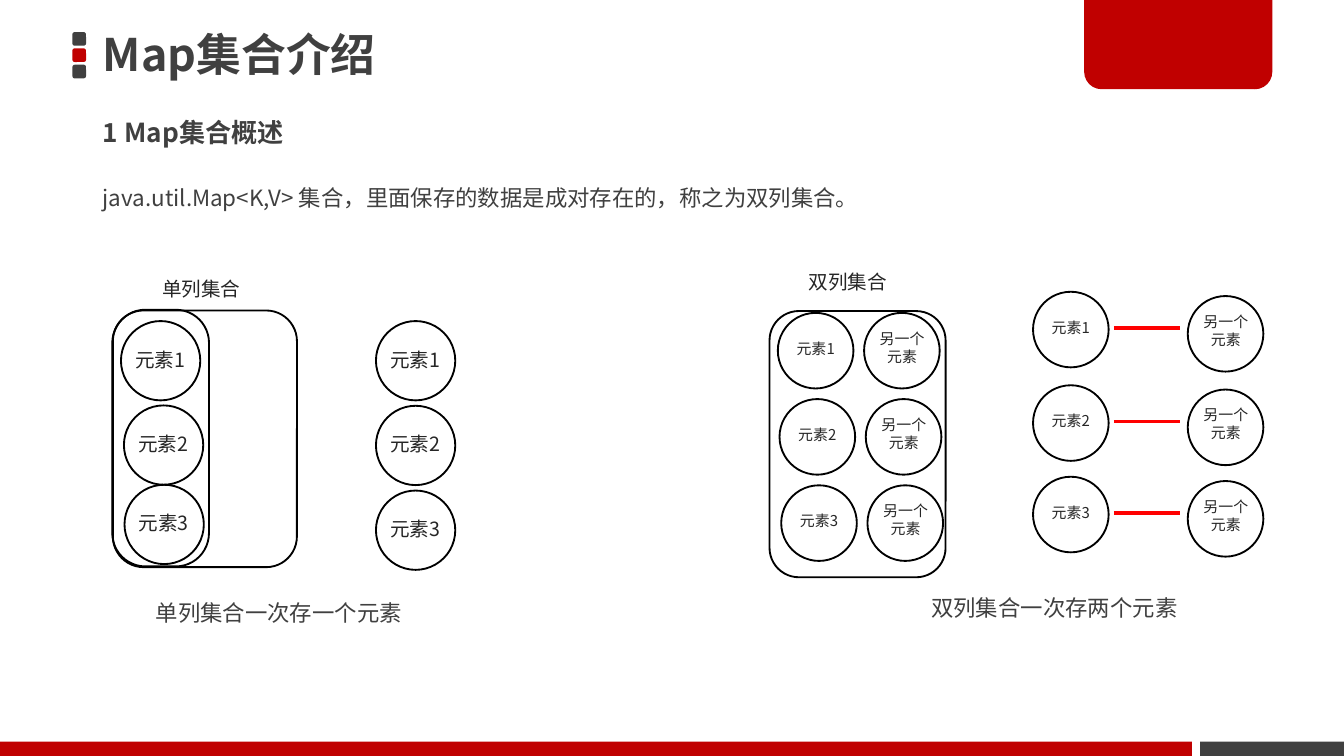
from dataclasses import dataclass

from lxml.etree import SubElement
from pptx import Presentation
from pptx.dml.color import RGBColor
from pptx.enum.shapes import MSO_CONNECTOR, MSO_SHAPE as Shape
from pptx.enum.text import MSO_ANCHOR as Anchor, MSO_AUTO_SIZE as AutoSize, PP_ALIGN as Align
from pptx.oxml.ns import qn
from pptx.util import Pt


@dataclass(frozen=True)
class Theme:
    red: RGBColor = RGBColor(0xC0, 0x00, 0x00)
    gray: RGBColor = RGBColor(0x40, 0x40, 0x40)
    ink: RGBColor = RGBColor(0x26, 0x26, 0x26)
    outline: RGBColor = RGBColor(0x00, 0x00, 0x00)
    link: RGBColor = RGBColor(0xFF, 0x00, 0x00)
    text_font: str = "Noto Sans CJK JP"
    label_font: str = "Noto Sans CJK SC"
    title: float = 24
    heading: float = 14
    body: float = 12
    label: float = 10.5
    small: float = 8


THEME = Theme()


def style(paragraph, size, font_name, color, bold=False):
    font = paragraph.font
    font.size, font.bold, font.name = Pt(size), bold, font_name
    font.color.rgb = color
    # East Asian glyphs need their own typeface entry
    defaults = paragraph._p.find(".//" + qn("a:defRPr"))
    SubElement(defaults, qn("a:ea")).set("typeface", font_name)


def place(shape, box):
    shape.left, shape.top, shape.width, shape.height = map(Pt, box)


def fill_placeholder(holder, box, text, size, bold=False, anchor=Anchor.MIDDLE, spacing=1):
    place(holder, box)
    frame = holder.text_frame
    frame.text = text
    frame.word_wrap, frame.auto_size = True, AutoSize.NONE
    frame.vertical_anchor = anchor
    frame.margin_left = frame.margin_right = Pt(5.4)
    frame.margin_top = frame.margin_bottom = Pt(2.7)
    paragraph = frame.paragraphs[0]
    paragraph.alignment = Align.LEFT
    paragraph.space_before = Pt(0)
    paragraph.line_spacing = spacing
    properties = paragraph._p.get_or_add_pPr()
    properties.set("marL", "0")
    properties.set("indent", "0")
    SubElement(properties, qn("a:buNone"))
    style(paragraph, size, THEME.text_font, THEME.gray, bold)


def add_block(slide, kind, box, color, corner=None, rotation=0):
    block = slide.shapes.add_shape(kind, *map(Pt, box))
    block.shadow.inherit = False
    block.fill.solid()
    block.fill.fore_color.rgb = color
    block.line.fill.background()
    block.rotation = rotation
    if corner is not None:
        block.adjustments[0] = corner


def add_outline(slide, kind, box, rotation=0, corner=None):
    outline = slide.shapes.add_shape(kind, *map(Pt, box))
    outline.shadow.inherit = False
    outline.fill.background()
    outline.line.color.rgb = THEME.outline
    outline.line.width = Pt(1)
    outline.rotation = rotation
    if corner is not None:
        outline.adjustments[0] = corner


def add_label(slide, box, lines, size, font, color, align=Align.LEFT, wrap=False, spacing=None):
    frame = slide.shapes.add_textbox(*map(Pt, box)).text_frame
    frame.text = "\n".join(lines)
    frame.word_wrap, frame.auto_size = wrap, AutoSize.SHAPE_TO_FIT_TEXT
    for paragraph in frame.paragraphs:
        paragraph.alignment = align
        paragraph.line_spacing = spacing
        style(paragraph, size, font, color)


def add_element(slide, x, y, diameter, label_box, lines, size):
    """A circle with its label; label_box is relative to the circle."""
    add_outline(slide, Shape.OVAL, (x, y, diameter, diameter))
    dx, dy, width, height = label_box
    add_label(slide, (x + dx, y + dy, width, height), lines, size,
              THEME.label_font, THEME.ink, Align.CENTER, wrap=True)


def add_single(slide, x, y, number):
    add_element(slide, x, y, 42.5, (0, 10.6, 41.8, 20.2), [f"元素{number}"], THEME.label)


def add_key(slide, x, y, number):
    add_element(slide, x, y, 40.5, (2.6, 10.8, 35.3, 17.3), [f"元素{number}"], THEME.small)


def add_value(slide, x, y):
    add_element(slide, x, y, 40.5, (1, 5.3, 38.9, 26.6), ["另一个", "元素"], THEME.small)


def add_link(slide, x1, x2, y):
    link = slide.shapes.add_connector(MSO_CONNECTOR.STRAIGHT, Pt(x1), Pt(y), Pt(x2), Pt(y))
    link.line.color.rgb = THEME.link
    link.line.width = Pt(2)
    SubElement(link._element.spPr, qn("a:effectLst"))


def add_heading(slide, x, y, text):
    add_label(slide, (x, y, 56.9, 20.2), [text], THEME.label, THEME.label_font, THEME.ink)


def add_caption(slide, box, text, wrap):
    add_label(slide, box, [text], THEME.body, THEME.text_font, THEME.gray, wrap=wrap, spacing=1.5)


def add_decoration(slide):
    for row, color in enumerate((THEME.gray, THEME.red, THEME.gray)):
        add_block(slide, Shape.ROUNDED_RECTANGLE, (38.8, 17.2 + 8.75 * row, 7.3, 7.3), color, 0.167)
    add_block(slide, Shape.RECTANGLE, (643, 397.4, 77, 7.6), THEME.gray)
    add_block(slide, Shape.RECTANGLE, (0, 397.4, 638.6, 7.6), THEME.red)
    add_block(slide, Shape.ROUND_2_SAME_RECTANGLE, (580.8, -1.2, 100.8, 49), THEME.red, 0.19, 180)


def add_single_column(slide):
    add_outline(slide, Shape.ROUNDED_RECTANGLE, (17.3, 208.8, 137.5, 51.8), 90, 0.343)
    add_outline(slide, Shape.ROUNDED_RECTANGLE, (41, 185.8, 137.5, 98.6), 90)
    add_heading(slide, 79.9, 144.7, "单列集合")
    stored = ((64.8, 172), (66.4, 217.2), (66.7, 259.7))
    for row, (x, y) in enumerate(stored):
        add_single(slide, x, y, row + 1)
        add_single(slide, 201.4, 172 + 45.4 * row, row + 1)
    add_caption(slide, (76.3, 310.3, 164.9, 26.6), "单列集合一次存一个元素", wrap=True)


def add_double_column(slide):
    add_outline(slide, Shape.ROUNDED_RECTANGLE, (388.1, 190.8, 142.6, 94.3), 90)
    add_heading(slide, 426.2, 141.1, "双列集合")
    for row, pair_y in enumerate((156.3, 206.4, 255.4)):
        # Pair stored in the collection
        x, y = 416.7 + 0.9 * row, 167.6 + 46.2 * row
        add_key(slide, x, y, row + 1)
        add_value(slide, x + 46.2, y)
        # Pair outside, joined by a line
        add_key(slide, 553.4, pair_y, row + 1)
        add_link(slide, 596.7, 632.2, pair_y + 19.4)
        add_value(slide, 636.3, pair_y + 2.3)
    add_caption(slide, (491.8, 307.4, 147.6, 26.6), "双列集合一次存两个元素", wrap=False)


def main():
    deck = Presentation()
    deck.slide_width, deck.slide_height = Pt(720), Pt(405)
    slide = deck.slides.add_slide(deck.slide_layouts.get_by_name("Two Content"))
    add_decoration(slide)

    # Title and introduction
    title, overview, intro = slide.placeholders
    fill_placeholder(title, (49.7, 13.7, 517.7, 30.2), "Map集合介绍", THEME.title, bold=True)
    fill_placeholder(overview, (49.7, 55.4, 293.8, 30.2), "1 Map集合概述", THEME.heading, bold=True)
    fill_placeholder(intro, (49.7, 88.6, 639.4, 46),
                     "java.util.Map<K,V> 集合，里面保存的数据是成对存在的，称之为双列集合。",
                     THEME.body, anchor=Anchor.TOP, spacing=1.5)

    # Comparison of the two kinds of collection
    add_single_column(slide)
    add_double_column(slide)
    deck.save("out.pptx")


if __name__ == "__main__":
    main()
